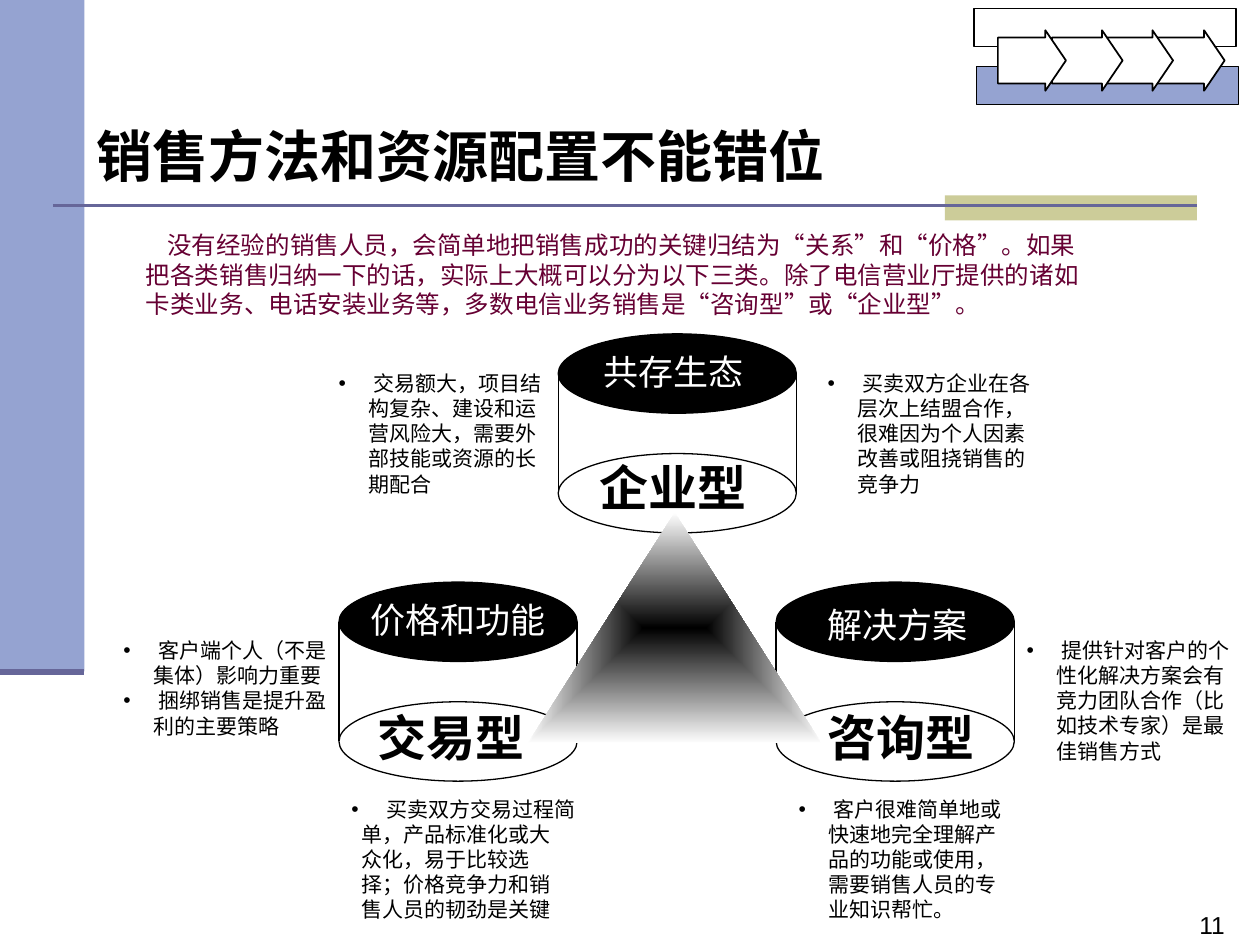
from dataclasses import dataclass

import lxml.etree
import pptx
import pptx.dml.color
import pptx.enum.shapes
import pptx.enum.text
import pptx.oxml.ns
import pptx.util

Inches = pptx.util.Inches
Pt = pptx.util.Pt
Shapes = pptx.enum.shapes.MSO_SHAPE
Align = pptx.enum.text.PP_ALIGN
qn = pptx.oxml.ns.qn


@dataclass(frozen=True)
class Theme:
    black: str = "000000"
    white: str = "FFFFFF"
    pale: str = "FEFEFE"
    blue: str = "95A3D1"
    violet: str = "666699"
    olive: str = "CCCC99"
    wine: str = "660033"
    chinese: str = "Noto Sans CJK SC"
    heading: str = "Karla"
    latin: str = "Arial"
    title_size: int = 32
    type_size: int = 28
    label_size: int = 20
    intro_size: int = 14
    list_size: int = 12
    line_height: float = 1.2
    hang: float = 0.24


THEME = Theme()

CYLINDERS = [
    (4.43, 2.65, "企业型", (4.66, 3.58, 1.36, 0.57), "共存生态", (4.69, 2.73, 1.31, 0.44)),
    (2.69, 4.62, "交易型", (2.9, 5.57, 1.36, 0.57), "价格和功能", (2.84, 4.7, 1.59, 0.44)),
    (6.16, 4.62, "咨询型", (6.47, 5.57, 1.36, 0.57), "解决方案", (6.47, 4.74, 1.31, 0.44)),
]
CLIENT_BOX = (0.88, 5.01, 1.83, 0.9)
CLIENT_POINTS = [" 客户端个人（不是集体）影响力重要", " 捆绑销售是提升盈利的主要策略"]
NOTES = [
    ((6.47, 2.89, 1.83, 0.9), " 买卖双方企业在各层次上结盟合作，很难因为个人因素改善或阻挠销售的竞争力"),
    ((6.24, 6.27, 1.83, 1.1), " 客户很难简单地或快速地完全理解产品的功能或使用，需要销售人员的专业知识帮忙。"),
    ((8.05, 5.01, 1.83, 1.1), " 提供针对客户的个性化解决方案会有竞力团队合作（比如技术专家）是最佳销售方式"),
    ((2.59, 2.89, 1.83, 0.9), " 交易额大，项目结构复杂、建设和运营风险大，需要外部技能或资源的长期配合"),
]
DEAL_BOX = (2.69, 6.27, 2.05, 1.1)
DEAL_POINT = " 买卖双方交易过程简"
DEAL_LINES = ["单，产品标准化或大", "众化，易于比较选", "择；价格竞争力和销", "售人员的韧劲是关键"]
INTRO = (
    "没有经验的销售人员，会简单地把销售成功的关键归结为“关系”和“价格”。"
    "如果把各类销售归纳一下的话，实际上大概可以分为以下三类。"
    "除了电信营业厅提供的诸如卡类业务、电话安装业务等，"
    "多数电信业务销售是“咨询型”或“企业型”。"
)


def color(value):
    return pptx.dml.color.RGBColor.from_string(value)


def inches(box):
    return [Inches(value) for value in box]


def add_shape(slide, kind, box, fill=None, line=None, width=0.75):
    shape = slide.shapes.add_shape(kind, *inches(box))
    shape.shadow.inherit = False
    if fill:
        shape.fill.solid()
        shape.fill.fore_color.rgb = color(fill)
    else:
        shape.fill.background()
    if line:
        shape.line.color.rgb = color(line)
        shape.line.width = Pt(width)
    else:
        shape.line.fill.background()
    return shape


def add_line(slide, start, end, line, width):
    connector = slide.shapes.add_connector(
        pptx.enum.shapes.MSO_CONNECTOR.STRAIGHT, *inches(start + end))
    connector.line.color.rgb = color(line)
    connector.line.width = Pt(width)
    lxml.etree.SubElement(connector._element.spPr, qn("a:effectLst"))


def prepare_frame(shape, box, wrap=True):
    shape.left, shape.top, shape.width, shape.height = inches(box)
    frame = shape.text_frame
    frame.word_wrap = wrap
    frame.auto_size = pptx.enum.text.MSO_AUTO_SIZE.NONE
    frame.vertical_anchor = pptx.enum.text.MSO_ANCHOR.TOP
    frame.margin_left = frame.margin_right = Inches(0.1)
    frame.margin_top = frame.margin_bottom = Inches(0.05)
    return frame


def add_frame(slide, box, wrap=True):
    return prepare_frame(slide.shapes.add_textbox(*inches(box)), box, wrap)


def set_indent(paragraph, margin, first):
    properties = paragraph._p.get_or_add_pPr()
    properties.set("marL", str(Inches(margin)))
    properties.set("indent", str(Inches(first)))
    return properties


def write(paragraph, text, size, ink=THEME.black, font=THEME.chinese,
          bold=False, align=Align.LEFT, height=THEME.line_height):
    paragraph.alignment = align
    paragraph.line_spacing = Pt(round(size * height, 1))
    paragraph.space_before = Pt(0)
    run = paragraph.add_run()
    run.text = text
    run.font.size = Pt(size)
    run.font.bold = bold
    run.font.color.rgb = color(ink)
    run.font.name = font
    east_asian = lxml.etree.SubElement(run._r.get_or_add_rPr(), qn("a:ea"))
    east_asian.set("typeface", THEME.chinese)


def write_bullets(frame, points):
    for index, point in enumerate(points):
        paragraph = frame.add_paragraph() if index else frame.paragraphs[0]
        properties = set_indent(paragraph, THEME.hang, -THEME.hang)
        bullet_color = lxml.etree.SubElement(properties, qn("a:buClr"))
        lxml.etree.SubElement(bullet_color, qn("a:srgbClr")).set("val", THEME.black)
        lxml.etree.SubElement(properties, qn("a:buFont")).set("typeface", THEME.latin)
        lxml.etree.SubElement(properties, qn("a:buChar")).set("char", "•")
        write(paragraph, point, THEME.list_size)


def add_label(slide, box, text, size, ink, bold=False):
    write(add_frame(slide, box, wrap=False).paragraphs[0], text, size, ink, bold=bold)


def add_cylinder(slide, left, top, name, name_box):
    width, height, depth = 1.89, 0.63, 0.95
    add_shape(slide, Shapes.OVAL, (left, top + depth, width, height), line=THEME.black)
    add_label(slide, name_box, name, THEME.type_size, THEME.black, bold=True)
    add_shape(slide, Shapes.OVAL, (left, top, width, height), THEME.black, THEME.black)
    for side in (left, left + width):
        add_line(slide, (side, top + 0.32), (side, top + 1.26), THEME.black, 0.75)


def add_glowing_triangle(slide, box):
    triangle = add_shape(slide, Shapes.ISOSCELES_TRIANGLE, box)
    triangle.fill.gradient()
    for stop, position, value in zip(
            triangle.fill.gradient_stops, (0, 1), (THEME.black, THEME.pale)):
        stop.position = position
        stop.color.rgb = color(value)
    gradient = triangle._element.spPr.find(qn("a:gradFill"))
    gradient.remove(gradient.find(qn("a:lin")))
    spread = lxml.etree.SubElement(gradient, qn("a:path"))
    spread.set("path", "rect")
    center = lxml.etree.SubElement(spread, qn("a:fillToRect"))
    for side in "ltrb":
        center.set(side, "50000")


def add_frame_decoration(slide):
    add_shape(slide, Shapes.RECTANGLE, (0, 0, 0.67, 5.33), THEME.blue)
    add_shape(slide, Shapes.RECTANGLE, (7.5, 1.55, 2, 0.2), THEME.olive)
    add_line(slide, (0.42, 1.63), (9.5, 1.63), THEME.violet, 1.5)
    add_line(slide, (0, 5.33), (0.67, 5.33), THEME.violet, 3.5)
    number = add_frame(slide, (9.42, 7.17, 0.83, 0.34)).paragraphs[0]
    write(number, "11", THEME.intro_size, font=THEME.latin)


def add_process_icon(slide):
    add_shape(slide, Shapes.RECTANGLE, (7.73, 0.07, 2.08, 0.3), THEME.white, THEME.black)
    add_shape(slide, Shapes.RECTANGLE, (7.75, 0.53, 2.08, 0.3), THEME.blue, THEME.black)
    for left, width in ((9.16, 0.56), (8.77, 0.54), (8.35, 0.56), (7.92, 0.54)):
        arrow = add_shape(slide, Shapes.RIGHT_ARROW, (left, 0.24, width, 0.48),
                          THEME.white, THEME.black, 1)
        arrow.adjustments[0] = 0.76
        arrow.adjustments[1] = 0.34


def main():
    presentation = pptx.Presentation()
    presentation.slide_width, presentation.slide_height = Inches(10), Inches(7.5)
    slide = presentation.slides.add_slide(presentation.slide_layouts[1])
    title = prepare_frame(slide.shapes.title, (0.43, 0.97, 6.46, 0.58))
    write(title.paragraphs[0], "销售方法和资源配置不能错位", THEME.title_size,
          font=THEME.heading, bold=True, align=Align.CENTER, height=1.08)
    write_bullets(prepare_frame(slide.placeholders[1], CLIENT_BOX), CLIENT_POINTS)

    add_frame_decoration(slide)
    for left, top, name, name_box, _, _ in CYLINDERS:
        add_cylinder(slide, left, top, name, name_box)
    add_glowing_triangle(slide, (4.19, 4.07, 2.33, 1.83))
    for *_, label, label_box in CYLINDERS:
        add_label(slide, label_box, label, THEME.label_size, THEME.white)

    for box, note in NOTES:
        write_bullets(add_frame(slide, box), [note])
    deal = add_frame(slide, DEAL_BOX)
    write_bullets(deal, [DEAL_POINT])
    for line in DEAL_LINES:
        paragraph = deal.add_paragraph()
        set_indent(paragraph, 0.08, 0)
        write(paragraph, line, THEME.list_size)

    add_process_icon(slide)
    intro = add_frame(slide, (1.06, 1.78, 7.76, 0.55)).paragraphs[0]
    set_indent(intro, 0, 0.17)
    write(intro, INTRO, THEME.intro_size, THEME.wine)
    presentation.save("out.pptx")


if __name__ == "__main__":
    main()
